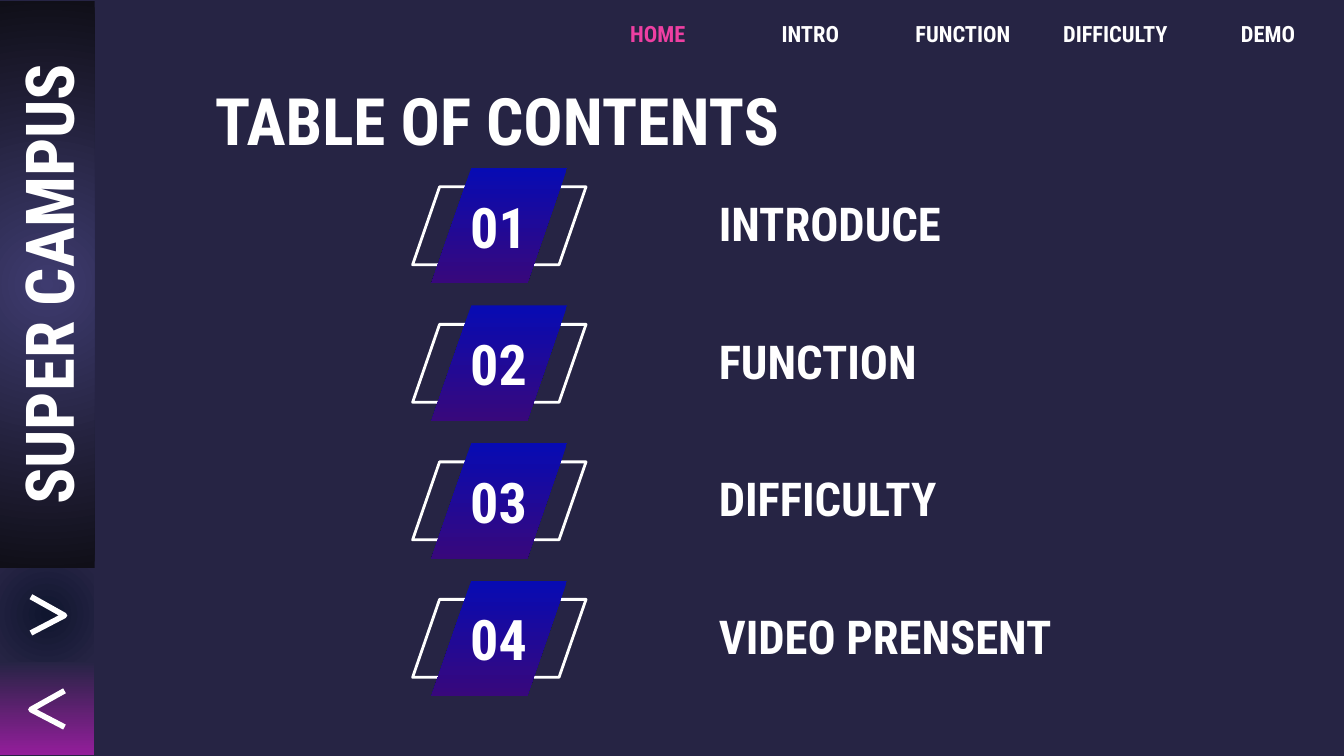
import dataclasses

import pptx
import pptx.dml.color
import pptx.enum.shapes
import pptx.enum.text
import pptx.oxml
import pptx.oxml.ns
import pptx.util

Inches = pptx.util.Inches
SHAPES = pptx.enum.shapes.MSO_SHAPE
ALIGN = pptx.enum.text.PP_ALIGN

FONT = "Roboto Condensed"
NAVY = "262444"
WHITE = "FFFFFF"
PINK = "EE3FA2"
SLIDE_WIDTH = 10
SLIDE_HEIGHT = SLIDE_WIDTH * 9 / 16
ROW_PITCH = 3.07 / 3
MENU_PITCH = 4.54 / 4
SLANT = 0.346


@dataclasses.dataclass(frozen=True)
class Area:
    left: float
    top: float
    width: float
    height: float

    def down(self, distance: float) -> "Area":
        return dataclasses.replace(self, top=self.top + distance)

    def lengths(self) -> list[int]:
        return [Inches(value) for value in dataclasses.astuple(self)]


@dataclasses.dataclass(frozen=True)
class Entry:
    number: str
    label: str
    label_width: float


ENTRIES = [
    Entry("01", "INTRODUCE", 2.2),
    Entry("02", "FUNCTION", 2.2),
    Entry("03", "DIFFICULTY", 4.4),
    Entry("04", "VIDEO PRENSENT", 2.71),
]
MENU = ["HOME", "INTRO", "FUNCTION", "DIFFICULTY", "DEMO"]


def color(value: str) -> pptx.dml.color.RGBColor:
    return pptx.dml.color.RGBColor.from_string(value)


def write(shape, text: str, size: float, align=ALIGN.LEFT, ink: str = WHITE) -> None:
    frame = shape.text_frame
    frame.text = text
    frame.word_wrap = True
    frame.vertical_anchor = pptx.enum.text.MSO_ANCHOR.MIDDLE
    frame.margin_left = frame.margin_right = Inches(0.1)
    frame.margin_top = frame.margin_bottom = Inches(0.1)
    para = frame.paragraphs[0]
    para.alignment = align
    font = para.runs[0].font
    font.name, font.size, font.bold = FONT, pptx.util.Pt(size), True
    font.color.rgb = color(ink)


def add_text(page, area: Area, text: str, size: float, align=ALIGN.LEFT, ink: str = WHITE) -> None:
    write(page.shapes.add_textbox(*area.lengths()), text, size, align, ink)


def outline(shape, width: float) -> None:
    shape.shadow.inherit = False
    shape.fill.background()
    shape.line.color.rgb = color(WHITE)
    shape.line.width = pptx.util.Pt(width)


def add_gradient(page, kind, area: Area, first: str, last: str, radial: bool = False):
    shape = page.shapes.add_shape(kind, *area.lengths())
    shape.shadow.inherit = False
    shape.line.fill.background()
    shape.fill.gradient()
    shape.fill.gradient_angle = 270
    for stop, value in zip(shape.fill.gradient_stops, (first, last)):
        stop.color.rgb = color(value)
    if radial:
        linear = shape._element.spPr.find(".//" + pptx.oxml.ns.qn("a:lin"))
        circle = pptx.oxml.parse_xml(
            f'<a:path {pptx.oxml.ns.nsdecls("a")} path="circle">'
            '<a:fillToRect l="50000" t="50000" r="50000" b="50000"/></a:path>'
        )
        linear.getparent().replace(linear, circle)
    return shape


def add_entry(page, entry: Entry, offset: float) -> None:
    frame = page.shapes.add_shape(
        SHAPES.PARALLELOGRAM, *Area(3.07, 1.39, 1.29, 0.58).down(offset).lengths()
    )
    frame.adjustments[0] = SLANT
    outline(frame, 1.5)
    badge = add_gradient(
        page, SHAPES.PARALLELOGRAM, Area(3.21, 1.25, 1.01, 0.86).down(offset), "070BB3", "38087C"
    )
    badge.adjustments[0] = SLANT
    add_text(page, Area(3.13, 1.48, 1.16, 0.4).down(offset), entry.number, 30, ALIGN.CENTER)
    add_text(page, Area(5.25, 1.37, entry.label_width, 0.58).down(offset), entry.label, 25)


def add_chevron(page, top: float, tail: float, tip: float) -> None:
    points = [(tail, top), (tip, top + 0.14), (tail, top + 0.27)]
    start, *rest = [(Inches(x), Inches(y)) for x, y in points]
    builder = page.shapes.build_freeform(*start)
    builder.add_line_segments(rest, close=False)
    outline(builder.convert_to_shape(), 3)


def main() -> None:
    deck = pptx.Presentation()
    deck.slide_width, deck.slide_height = Inches(SLIDE_WIDTH), Inches(SLIDE_HEIGHT)
    page = deck.slides.add_slide(deck.slide_layouts[6])
    page.background.fill.solid()
    page.background.fill.fore_color.rgb = color(NAVY)

    # Contents
    add_text(page, Area(1.5, 0.57, 7.72, 0.63), "TABLE OF CONTENTS", 35)
    for row, entry in enumerate(ENTRIES):
        add_entry(page, entry, row * ROW_PITCH)

    # Sidebar
    add_gradient(page, SHAPES.RECTANGLE, Area(0, 4.92, 0.7, 0.7), NAVY, "931E9B")
    add_gradient(page, SHAPES.RECTANGLE, Area(0, 4.22, 0.7, 0.7), "10162F", NAVY, radial=True)
    banner = add_gradient(
        page, SHAPES.RECTANGLE, Area(-1.76, 1.76, 4.22, 0.71), "3E3B6F", "100F18", radial=True
    )
    banner.rotation = 270
    write(banner, "SUPER CAMPUS", 36, ALIGN.CENTER)
    add_chevron(page, 4.44, tail=0.23, tip=0.48)
    add_chevron(page, 5.14, tail=0.48, tip=0.23)

    # Top menu
    for column, name in enumerate(MENU):
        area = Area(4.33 + column * MENU_PITCH, 0.07, 1.13, 0.36)
        add_text(page, area, name, 12, ALIGN.CENTER, PINK if column == 0 else WHITE)

    deck.save("out.pptx")


if __name__ == "__main__":
    main()
